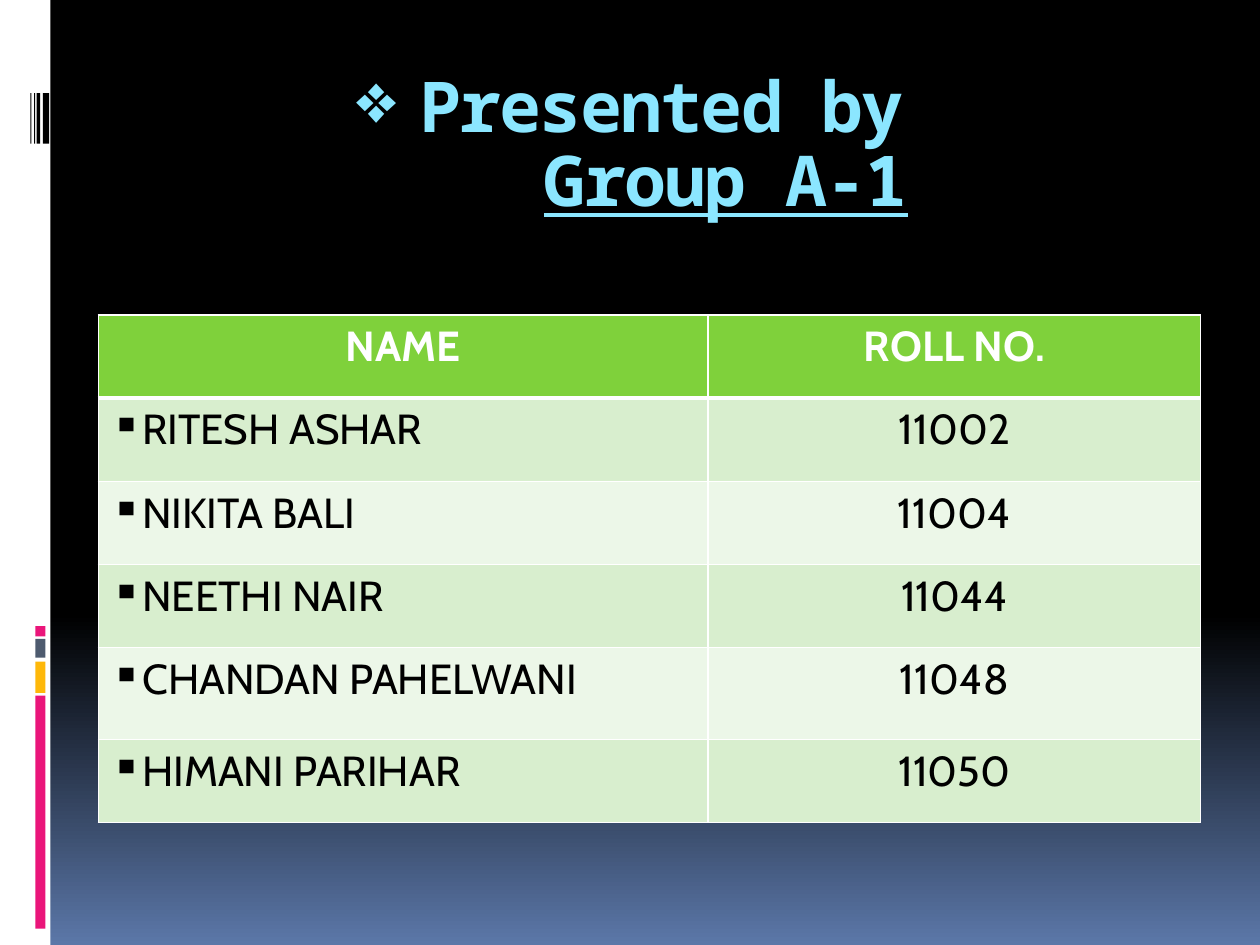
from lxml import etree
from pptx import Presentation
from pptx.dml.color import RGBColor
from pptx.enum.shapes import MSO_SHAPE
from pptx.enum.text import MSO_ANCHOR, PP_ALIGN
from pptx.oxml.ns import qn
from pptx.util import Inches, Pt

RECT = MSO_SHAPE.RECTANGLE
MIDDLE = MSO_ANCHOR.MIDDLE
CENTER, JUSTIFY = PP_ALIGN.CENTER, PP_ALIGN.JUSTIFY


def rgb(text):
    return RGBColor.from_string(text)


class Deck:
    """Holds the style and the current slide."""
    white, black, pink, sky = "FFFFFF", "000000", "EA157A", "8BE6FF"
    green, bands = "7FD13B", ("D8EECE", "ECF7E8")
    title = {"name": "Noto Sans Mono", "size": Pt(40), "bold": True}
    body = {"name": "Cabin", "size": Pt(24), "bold": False}
    head = {**body, "bold": True}

    def __init__(self, wide, high):
        self.show = Presentation()
        self.show.slide_width, self.show.slide_height = Inches(wide), Inches(high)
        self.slide = self.show.slides.add_slide(self.show.slide_layouts[6])

    def back(self, stops):
        fill = self.slide.background.fill
        fill.gradient()
        fill.gradient_angle = 270
        for stop, (place, color) in zip(fill.gradient_stops, stops):
            stop.position = place
            stop.color.rgb = rgb(color)

    def bar(self, left, top, width, height, color):
        box = self.slide.shapes.add_shape(RECT, *map(Inches, (left, top, width, height)))
        box.shadow.inherit = False
        box.fill.solid()
        box.fill.fore_color.rgb = rgb(color)
        box.line.fill.background()

    def words(self, para, text, style, color, align, bullet=None, indent=0, hang=0):
        para.alignment = align
        run = para.add_run()
        run.text = text
        for key, value in style.items():
            setattr(run.font, key, value)
        run.font.color.rgb = rgb(color)
        props = para._p.get_or_add_pPr()
        props.set("marL", str(Inches(indent)))
        props.set("indent", str(-Inches(hang)))
        if bullet:
            etree.SubElement(props, qn("a:buChar")).set("char", bullet)
        return run

    def text(self, left, top, width, height, lines):
        box = self.slide.shapes.add_textbox(*map(Inches, (left, top, width, height)))
        frame = box.text_frame
        frame.word_wrap = True
        frame.vertical_anchor = MIDDLE
        for i, (text, extra, layout) in enumerate(lines):
            para = frame.add_paragraph() if i else frame.paragraphs[0]
            para.line_spacing = 0.88
            run = self.words(para, text, {**self.title, **extra}, self.sky,
                             CENTER, **layout)
            run._r.get_or_add_rPr().set("spc", "-100")

    def edges(self, cell, sizes):
        props = cell._tc.get_or_add_tcPr()
        for side, size in zip("LRTB", sizes):
            line = etree.SubElement(props, qn("a:ln" + side), w=str(Pt(size)))
            fill = etree.SubElement(line, qn("a:solidFill"))
            etree.SubElement(fill, qn("a:srgbClr"), val=self.white)

    def table(self, left, top, cols, rows, data):
        grid = self.slide.shapes.add_table(
            len(rows), len(cols), *map(Inches, (left, top, sum(cols), sum(rows)))).table
        grid.first_row = grid.horz_banding = False
        for col, width in zip(grid.columns, cols):
            col.width = Inches(width)
        for r, (height, line) in enumerate(zip(rows, data)):
            grid.rows[r].height = Inches(height)
            for c, text in enumerate(line):
                cell = grid.cell(r, c)
                self.edges(cell, (1, 1, 3 if r == 1 else 1, 1 if r else 3))
                cell.fill.solid()
                cell.fill.fore_color.rgb = rgb(self.bands[(r - 1) % 2] if r else self.green)
                listed = r > 0 and c == 0
                layout = {"bullet": "▪", "indent": 0.17, "hang": 0.17} if listed else {}
                self.words(cell.text_frame.paragraphs[0], text,
                           self.body if r else self.head,
                           self.black if r else self.white,
                           JUSTIFY if listed else CENTER, **layout)


deck = Deck(10, 7.5)
deck.back([(0.65, deck.black), (1, "5B77A8")])

# Side strip with coloured blocks
deck.bar(0, 0, 0.4, 7.5, deck.white)
for top, height, color in [(5.52, 1.85, deck.pink), (5.25, 0.25, "FEB80A"),
                           (5.07, 0.15, "4E5B6F"), (4.97, 0.08, deck.pink)]:
    deck.bar(0.28, top, 0.08, height, color)

# Black stripes
for left, width in [(0.34, 0.05), (0.29, 0.03), (0.27, 0.01), (0.24, 0.01)]:
    deck.bar(left, 0.74, width, 0.4, deck.black)

# Members
deck.table(0.78, 2.5, [4.84, 3.91], [0.66] * 4 + [0.73, 0.66], [
    ("NAME", "ROLL NO."),
    ("RITESH ASHAR", "11002"),
    ("NIKITA BALI", "11004"),
    ("NEETHI NAIR", "11044"),
    ("CHANDAN PAHELWANI", "11048"),
    ("HIMANI PARIHAR", "11050"),
])

# Title
deck.text(0.5, 0.39, 9, 1.56, [
    ("Presented by", {}, {"bullet": "❖", "indent": 0.5, "hang": 0.5}),
    ("Group A-1", {"underline": True}, {"indent": 1.52}),
])

deck.show.save("out.pptx")
